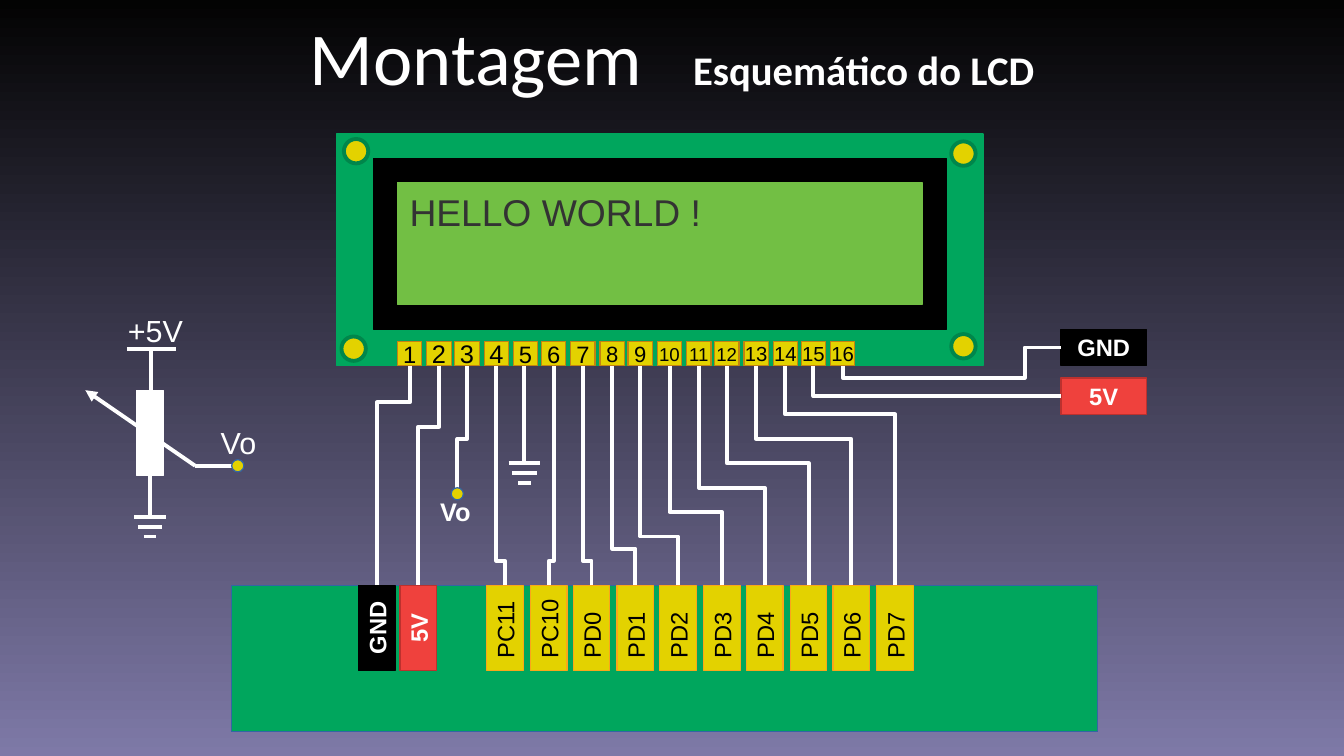
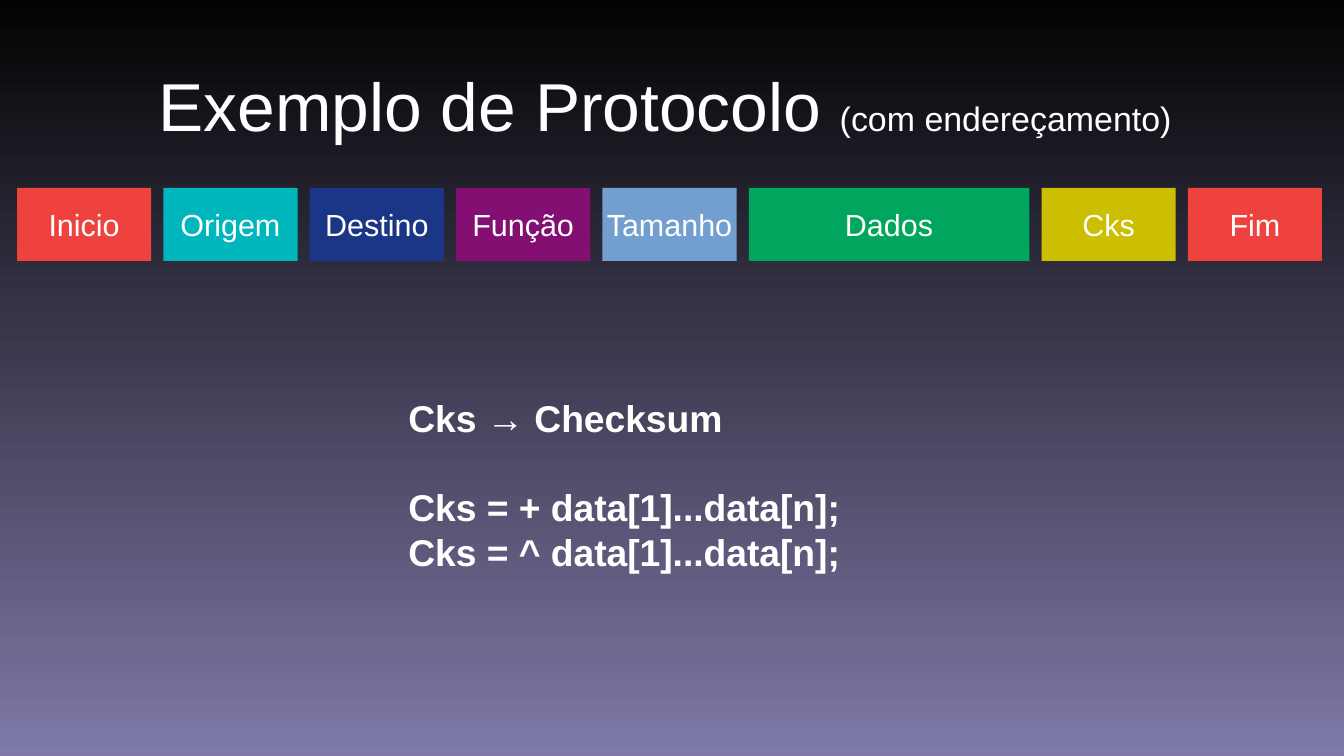
from lxml.etree import SubElement
from pptx import Presentation
from pptx.dml.color import RGBColor
from pptx.enum.shapes import MSO_CONNECTOR, MSO_SHAPE
from pptx.enum.text import MSO_ANCHOR, MSO_AUTO_SIZE, PP_ALIGN
from pptx.oxml.ns import qn
from pptx.util import Pt

PX = 9144  # 100 px to the inch
RECT, OVAL = MSO_SHAPE.RECTANGLE, MSO_SHAPE.OVAL
HEX = {
    "white": "FFFFFF", "black": "000000", "ink": "333333", "night": "030303", "dusk": "7E79A7",
    "board": "00A65D", "ring": "00864B", "glass": "72BF44", "gold": "E3D200", "bronze": "C38312",
    "amber": "FAA61A", "red": "EF413D", "brick": "BC312E", "steel": "3465A4", "teal": "00B6BD",
    "navy": "1C3687", "plum": "820F71", "sky": "729FCF", "olive": "CCBE00",
}
RGB = {name: RGBColor.from_string(code) for name, code in HEX.items()}


def put(shapes, kind, at, text="", fill=None, edge=None, width=0, size=14, color="white",
        bold=False, font="Arial", align=PP_ALIGN.CENTER, anchor=MSO_ANCHOR.MIDDLE, turn=0):
    """Place a preset shape, a text box (kind None) or the title, and format its text."""
    spot = [n * PX for n in at]
    if kind == "title":
        shape = shapes.title
        shape.left, shape.top, shape.width, shape.height = spot
    elif kind is None:
        shape = shapes.add_textbox(*spot)
    else:
        shape = shapes.add_shape(kind, *spot)
        shape.shadow.inherit = False
    shape.rotation = turn
    if fill:
        shape.fill.solid()
        shape.fill.fore_color.rgb = RGB[fill]
    if edge:
        shape.line.color.rgb = RGB[edge]
        shape.line.width = Pt(width)
    else:
        shape.line.fill.background()
    frame = shape.text_frame
    frame.word_wrap = False
    frame.auto_size = MSO_AUTO_SIZE.NONE
    frame.vertical_anchor = anchor
    for i, words in enumerate(text.split("\n") if text else []):
        para = frame.add_paragraph() if i else frame.paragraphs[0]
        para.alignment = align
        run = para.add_run()
        run.text = words
        run.font.size, run.font.bold, run.font.name = Pt(size), bold, font
        run.font.color.rgb = RGB[color]
    return shape


def wire(shapes, x1, y1, x2, y2, bends=None, arrow=False):
    """Draw a straight line, or one that leaves vertically and bends at the given fractions."""
    if bends is None:
        link = shapes.add_connector(MSO_CONNECTOR.STRAIGHT, x1 * PX, y1 * PX, x2 * PX, y2 * PX)
    else:
        # An elbow leaves sideways, so lay it on its side and turn it by a quarter.
        side = 1 if (x2 < x1) == (y2 > y1) else -1
        cx, cy = (x1 + x2) / 2, (y1 + y2) / 2
        ends = [(cx + side * (y - cy), cy - side * (x - cx)) for x, y in ((x1, y1), (x2, y2))]
        link = shapes.add_connector(
            MSO_CONNECTOR.ELBOW, *[round(n * PX) for end in ends for n in end])
        props = link._element.spPr
        props.find(qn("a:xfrm")).set("rot", "5400000" if side > 0 else "16200000")
        geom = props.find(qn("a:prstGeom"))
        geom.set("prst", f"bentConnector{len(bends) + 2}")
        for i, bend in enumerate(bends, 1):
            SubElement(geom.find(qn("a:avLst")), qn("a:gd"),
                       name=f"adj{i}", fmla=f"val {round(bend * 100000)}")
    link.line.color.rgb = RGB["white"]
    link.line.width = Pt(2.3)
    props = link._element.spPr
    if arrow:
        SubElement(props.find(qn("a:ln")), qn("a:tailEnd"), type="triangle")
    SubElement(props, qn("a:effectLst"))


deck = Presentation()
deck.slide_width, deck.slide_height = 1102 * PX, 620 * PX

# Shared background
back = deck.slide_master.background.fill
back.gradient()
back.gradient_angle = 270
for stop, name in zip(back.gradient_stops, ("night", "dusk")):
    stop.color.rgb = RGB[name]

# Slides and titles
pages = []
for at, head, size, font, gap, tail, small, bold in (
    ((55, 4, 992, 83), "Montagem", 44, "Calibri", 2000, "Esquemático do LCD", 24, True),
    ((120, 50, 851, 72), "Exemplo de Protocolo", 40, "Arial", 0, "(com endereçamento)", 20, False),
):
    page = deck.slides.add_slide(deck.slide_layouts[5]).shapes
    frame = put(page, "title", at, head, size=size, font=font).text_frame
    frame.margin_left = frame.margin_right = frame.margin_top = frame.margin_bottom = 0
    for words, points, heavy, space in ((" ", size, False, gap), (tail, small, bold, 0)):
        run = frame.paragraphs[0].add_run()
        run.text = words
        run.font.size, run.font.bold, run.font.name = Pt(points), heavy, font
        run.font.color.rgb = RGB["white"]
        run.font._element.set("spc", str(space))
    pages.append(page)
plan, frames = pages

# Display
put(plan, RECT, (276, 110, 530, 190), fill="board", edge="board")
put(plan, RECT, (306, 130, 470, 140), fill="black", edge="black")
put(plan, RECT, (326, 150, 430, 100), "HELLO WORLD !", fill="glass", edge="glass", size=22,
    color="ink", align=PP_ALIGN.LEFT, anchor=MSO_ANCHOR.TOP)
for x, y in ((282, 114), (280, 276), (780, 116), (780, 274)):
    put(plan, OVAL, (x, y, 20, 20), fill="gold", edge="ring", width=2.3)

# Display pins
pins = {}
for i, size in enumerate((14, 15, 15, 15, 14, 14, 14, 13, 13, 11, 11, 11, 12, 12, 12, 12)):
    left = round(326 + i * 71 / 3)
    pins[i + 1] = left + 10
    put(plan, RECT, (left, 280, 20, 20), str(i + 1), fill="gold", edge="bronze",
        size=size, color="black")

# Controller board and its ports
put(plan, RECT, (190, 480, 710, 120), fill="board", edge="steel")
ports = (
    ("PC11", 4, 460), ("PC10", 6, 460), ("PD0", 7, 460), ("PD1", 8, 450), ("PD2", 9, 440),
    ("PD3", 10, 420), ("PD4", 11, 400), ("PD5", 12, 380), ("PD6", 13, 360), ("PD7", 14, 340),
)
for i, (name, pin, bend) in enumerate(ports):
    mid = round(414 + i * 320 / 9)
    put(plan, RECT, (mid - 35, 500, 70, 30), name, fill="gold", edge="amber",
        color="black", align=PP_ALIGN.LEFT, turn=270)
    wire(plan, mid, 480, pins[pin], 300, [(480 - bend) / 180])

# Power
for name, fill, edge, mid, pin, bend, top in (
    ("GND", "black", "black", 309, 1, 330, 270),
    ("5V", "red", "brick", 343, 2, 350, 310),
):
    for left, y, turn in ((mid - 35, 500, 270), (870, top, 0)):
        put(plan, RECT, (left, y, 70, 30), name, fill=fill, edge=edge, bold=True, turn=turn)
    wire(plan, pins[pin], 300, mid, 480, [(bend - 300) / 180])
wire(plan, pins[15], 300, 870, 325, [])
wire(plan, pins[16], 300, 870, 285, [-0.667, 0.833])

# Contrast pin and grounds
wire(plan, pins[3], 300, 375, 400, [0.6])
for x, top, y in ((430, 300, 380), (123, 380, 424)):
    wire(plan, x, top, x, y)
    for i, half in enumerate((13, 10, 5)):
        wire(plan, x - half, y + 8 * i, x + half, y + 8 * i)

# Trimmer
put(plan, RECT, (112, 320, 22, 70), fill="white", edge="white")
wire(plan, 124, 286, 124, 330)
wire(plan, 104, 286, 144, 286)
wire(plan, 160, 382, 70, 320, arrow=True)
wire(plan, 160, 382, 196, 382)
for text, at, size, bold in (
    ("+5V", (95, 252, 65, 38), 18, False),
    ("Vo", (171, 344, 49, 38), 18, False),
    ("Vo", (351, 403, 45, 33), 15, True),
):
    put(plan, None, at, text, size=size, bold=bold)
for x, y in ((190, 377), (370, 400)):
    put(plan, OVAL, (x, y, 10, 10), fill="gold", edge="steel")

# Protocol fields
left = 14
for name, fill, wide in (
    ("Inicio", "red", 110), ("Origem", "teal", 110), ("Destino", "navy", 110),
    ("Função", "plum", 110), ("Tamanho", "sky", 110), ("Dados", "board", 230),
    ("Cks", "olive", 110), ("Fim", "red", 110),
):
    put(frames, RECT, (left, 154, wide, 60), name, fill=fill, size=18)
    left += wide + 10

# Checksum
sums = put(frames, None, (325, 324, 375, 147),
           "Cks → Checksum\nCks = + data[1]...data[n];\nCks = ^ data[1]...data[n];",
           size=22, bold=True, align=PP_ALIGN.LEFT)
sums.text_frame.paragraphs[1].space_before = Pt(26)

deck.save("out.pptx")
